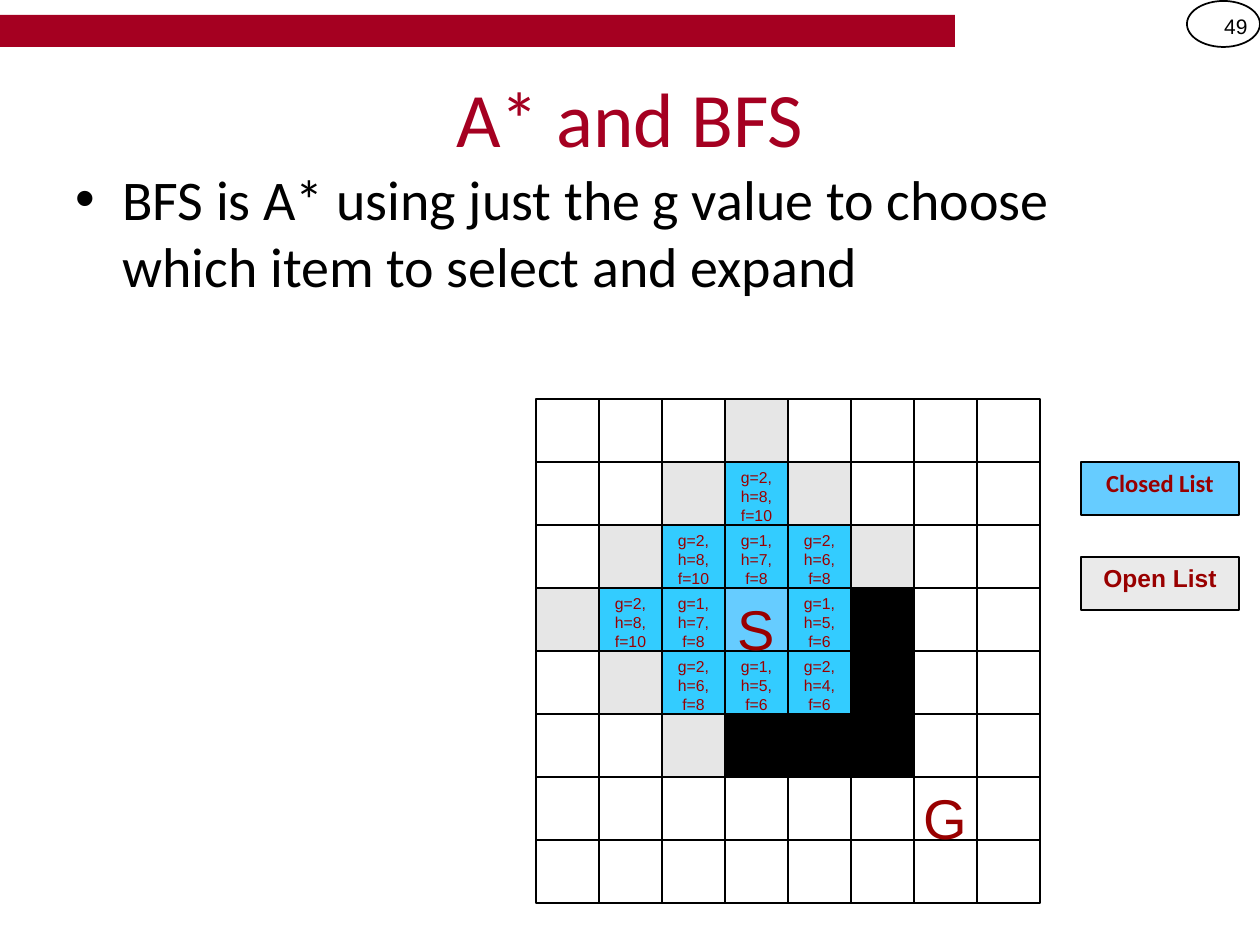
import copy

import pptx
import pptx.dml.color
import pptx.enum.shapes
import pptx.enum.text
import pptx.oxml
import pptx.oxml.ns
import pptx.util

PX = 914400 / 126
COLORS = {
    "white": "FFFFFF", "black": "000000", "crimson": "A50021", "label": "990000",
    "open": "E6E6E6", "closed": "33CCFF", "start": "66CCFF", "open_key": "EAEAEA",
}
ALIGN = pptx.enum.text.PP_ALIGN
ANCHOR = pptx.enum.text.MSO_ANCHOR
SHAPE = pptx.enum.shapes.MSO_SHAPE

# . free, o open list, c closed list, # wall, S start, G goal
GRID = [
    "...o....",
    "..oco...",
    ".occco..",
    "occSc#..",
    ".occc#..",
    "..o###..",
    "......G.",
    "........",
]
# Listed from back to front, so that letters stay above neighbouring cells
CELL_FILLS = {".": "white", "o": "open", "#": "black", "c": "closed",
              "S": "start", "G": "white"}
START, GOAL = (3, 3), (6, 6)
GRID_LEFT, GRID_TOP, CELL = 536, 399, 63


def px(n):
    return round(n * PX)


def rgb(name):
    return pptx.dml.color.RGBColor.from_string(COLORS[name])


def write(s, text, *, size, font="Arial", color="label", bold=False,
          align=ALIGN.CENTER, anchor=ANCHOR.TOP, wrap=True):
    """Fill a shape with one formatted paragraph; newlines become line breaks."""
    tf = s.text_frame
    tf.word_wrap = wrap
    tf.vertical_anchor = anchor
    p = tf.paragraphs[0]
    p.text = text.replace("\n", "\v")
    p.alignment = align
    for r in p.runs:
        r.font.size = pptx.util.Pt(size)
        r.font.name = font
        r.font.bold = bold
        r.font.color.rgb = rgb(color)
    for br in p._p.findall(pptx.oxml.ns.qn("a:br")):
        br.append(copy.deepcopy(p.runs[0]._r.rPr))
    return p


def add_box(slide, left, top, width, height, fill=None, line=None,
            line_width=0.75, kind=SHAPE.RECTANGLE):
    s = slide.shapes.add_shape(kind, px(left), px(top), px(width), px(height))
    s.shadow.inherit = False
    if fill:
        s.fill.solid()
        s.fill.fore_color.rgb = rgb(fill)
    else:
        s.fill.background()
    if line:
        s.line.color.rgb = rgb(line)
        s.line.width = pptx.util.Pt(line_width)
    else:
        s.line.fill.background()
    return s


def add_text(slide, left, top, width, height, text, **fmt):
    s = slide.shapes.add_textbox(px(left), px(top), px(width), px(height))
    return write(s, text, **fmt)


def add_bullet(p, indent):
    pPr = p._p.get_or_add_pPr()
    pPr.set("marL", str(px(indent)))
    pPr.set("indent", str(-px(indent)))
    ns = pptx.oxml.ns.nsdecls("a")
    pPr.append(pptx.oxml.parse_xml(f'<a:buFont {ns} typeface="Arial"/>'))
    pPr.append(pptx.oxml.parse_xml(f'<a:buChar {ns} char="•"/>'))


def distance(a, b):
    return abs(a[0] - b[0]) + abs(a[1] - b[1])


def cost_label(cell):
    g, h = distance(cell, START), distance(cell, GOAL)
    return f"g={g},\nh={h},\nf={g + h}"


def add_cell(slide, row, col, mark):
    s = add_box(slide, GRID_LEFT + col * CELL, GRID_TOP + row * CELL,
                CELL, CELL, CELL_FILLS[mark], "black")
    if mark == "c":
        write(s, cost_label((row, col)), size=9, wrap=False)
    elif mark in "SG":
        write(s, mark, size=32, wrap=False)


def add_grid(slide):
    for layer in CELL_FILLS:
        for row, marks in enumerate(GRID):
            for col, mark in enumerate(marks):
                if mark == layer:
                    add_cell(slide, row, col, mark)


def add_key(slide, top, text, fill, font):
    s = add_box(slide, 1081, top, 158, 53, fill, "black")
    write(s, text, size=14, font=font, bold=True)


def main():
    prs = pptx.Presentation()
    prs.slide_width, prs.slide_height = px(1260), px(945)
    slide = prs.slides.add_slide(prs.slide_layouts[6])

    add_box(slide, 0, 15, 955, 32, "crimson")
    add_box(slide, 1187, 1, 73, 46, line="black", line_width=1, kind=SHAPE.OVAL)
    add_text(slide, 1187, 1, 73, 50, "49", size=12, color="black",
             align=ALIGN.RIGHT, anchor=ANCHOR.MIDDLE)

    add_text(slide, 63, 38, 1134, 158, "A* and BFS", size=44, font="Calibri",
             color="crimson", anchor=ANCHOR.MIDDLE)
    p = add_text(slide, 63, 158, 1134, 147,
                 "BFS is A* using just the g value to choose which item to select and expand",
                 size=32, font="Calibri", color="black", align=ALIGN.LEFT)
    add_bullet(p, 47)

    add_grid(slide)
    add_key(slide, 462, "Closed List", "start", "Calibri")
    add_key(slide, 557, "Open List", "open_key", "Arial")
    prs.save("out.pptx")


if __name__ == "__main__":
    main()
